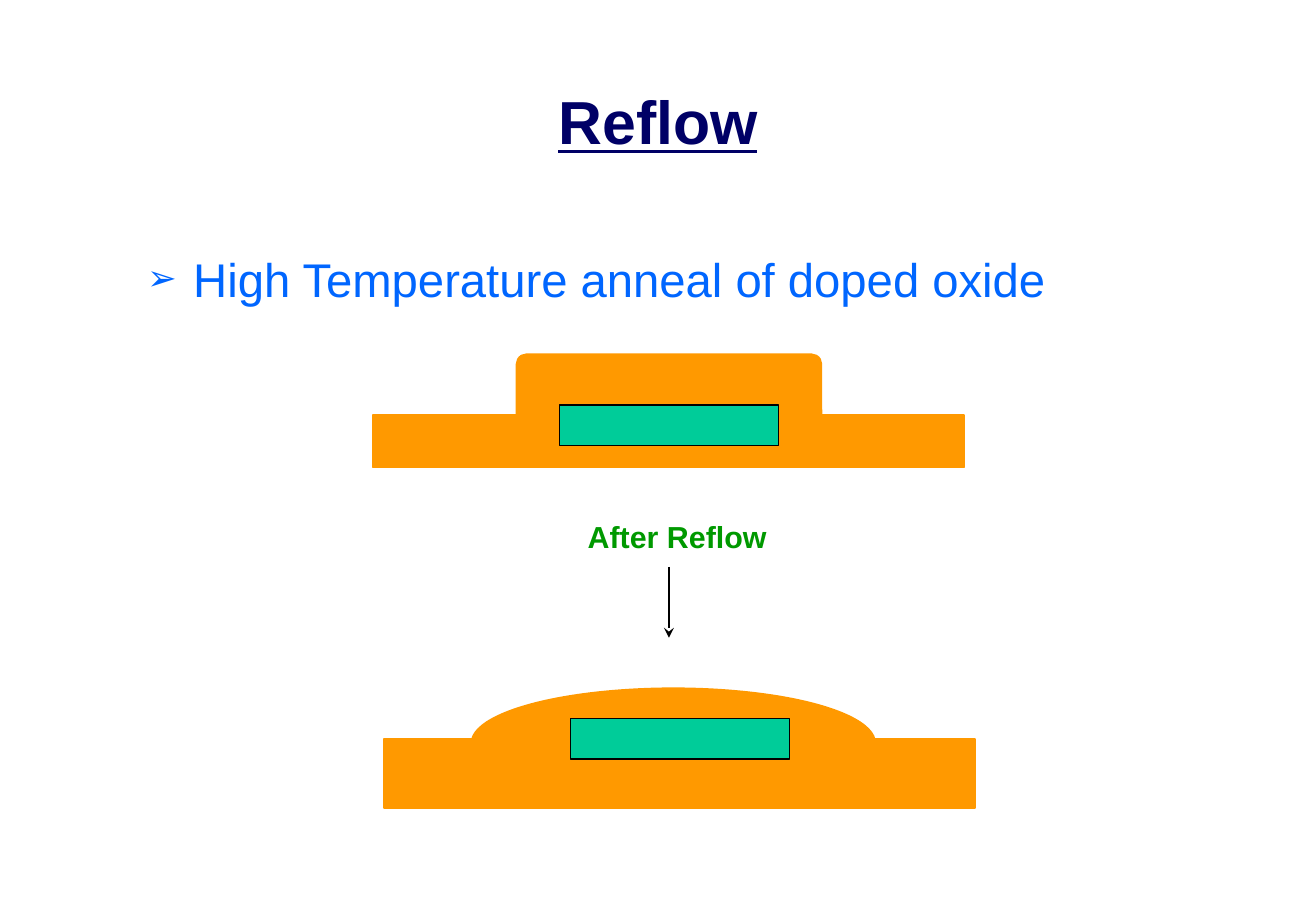
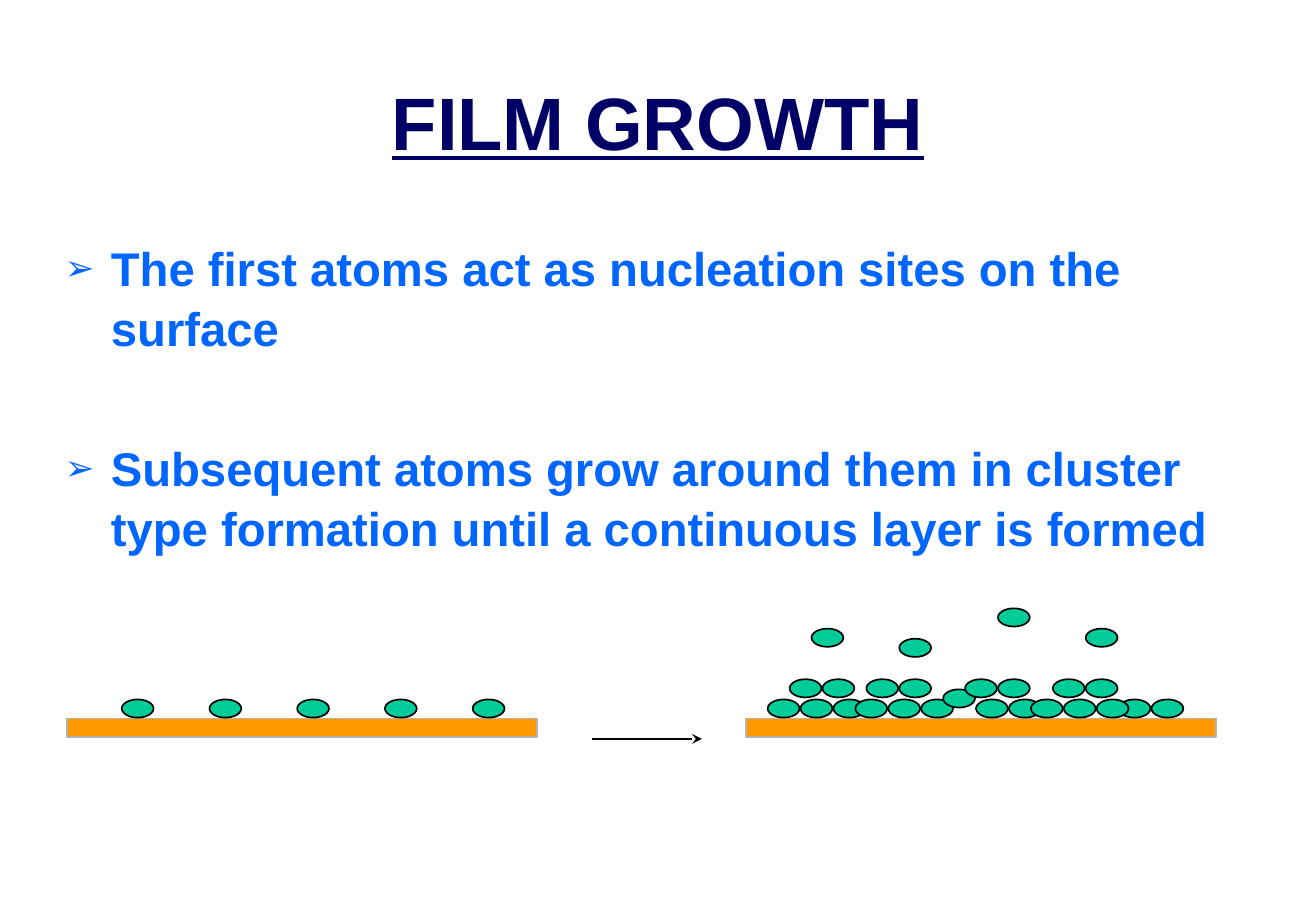
import pptx
import pptx.dml.color
import pptx.enum.shapes
import pptx.enum.text
import pptx.oxml
import pptx.oxml.ns
import pptx.util

COLOURS = {
    "title": "000066", "body": "0066FF", "label": "009900", "oxide": "FF9900",
    "metal": "00CC99", "edge": "B2B2B2", "black": "000000",
}
RGB = {name: pptx.dml.color.RGBColor.from_string(code) for name, code in COLOURS.items()}
SHAPES = pptx.enum.shapes.MSO_SHAPE
ALIGN = pptx.enum.text.PP_ALIGN
NO_AUTOFIT = pptx.enum.text.MSO_AUTO_SIZE.NONE

deck = pptx.Presentation()
deck.slide_width = pptx.util.Inches(10.83)
deck.slide_height = pptx.util.Inches(7.5)
COLUMN = deck.slide_width / 120
ROW = deck.slide_height / 90


def grid(left, top, width, height):
    return [int(left * COLUMN), int(top * ROW), int(width * COLUMN), int(height * ROW)]


def draw(slide, kind, area, fill, line, weight=1):
    shape = slide.shapes.add_shape(kind, *grid(*area))
    shape.shadow.inherit = False
    shape.fill.solid()
    shape.fill.fore_color.rgb = RGB[fill]
    shape.line.color.rgb = RGB[line]
    shape.line.width = pptx.util.Pt(weight)
    return shape


layout = deck.slide_layouts[1]
title_area = dict(zip(("left", "top", "width", "height"), grid(5, 4.4, 110, 15)))
for side, length in title_area.items():
    setattr(layout.placeholders[0], side, length)

PAGES = [
    {
        "title": "Reflow", "title_size": 36, "bold": False, "area": (12.3, 23.8, 94, 54),
        "points": ["High Temperature anneal of doped oxide"],
        "arrow": (61, 56, 61, 63),
    },
    {
        "title": "FILM GROWTH", "title_size": 44, "bold": True, "area": (4.8, 22.8, 110.7, 54),
        "points": [
            "The first atoms act as nucleation sites on the surface",
            "Subsequent atoms grow around them in cluster type formation until a continuous layer is formed",
        ],
        "arrow": (54, 73, 64, 73),
    },
]
BULLET = (
    f'<a:buClr {pptx.oxml.ns.nsdecls("a")}><a:srgbClr val="{COLOURS["body"]}"/></a:buClr>',
    f'<a:buSzPct {pptx.oxml.ns.nsdecls("a")} val="75000"/>',
    f'<a:buChar {pptx.oxml.ns.nsdecls("a")} char="➢"/>',
)
INDENT = str(pptx.util.Inches(0.38))

for page in PAGES:
    slide = deck.slides.add_slide(layout)
    heading, body = slide.placeholders
    heading.text_frame.auto_size = body.text_frame.auto_size = NO_AUTOFIT
    heading.text_frame.text = page["title"]
    heading.text_frame.paragraphs[0].alignment = ALIGN.CENTER
    title_format = {
        "name": "Arial", "size": pptx.util.Pt(page["title_size"]), "bold": True, "underline": True,
    }
    title_font = heading.text_frame.paragraphs[0].runs[0].font
    for key, value in title_format.items():
        setattr(title_font, key, value)
    title_font.color.rgb = RGB["title"]

    body.left, body.top, body.width, body.height = grid(*page["area"])
    body.text_frame.text = "\n".join(page["points"])
    body_format = {"name": "Arial", "size": pptx.util.Pt(28), "bold": page["bold"]}
    for number, point in enumerate(body.text_frame.paragraphs):
        properties = point._p.get_or_add_pPr()
        properties.set("marL", INDENT)
        properties.set("indent", "-" + INDENT)
        for element in BULLET:
            properties.append(pptx.oxml.parse_xml(element))
        point.line_spacing = 1.05
        point.space_before = pptx.util.Pt(48 if number else 0)
        point_font = point.runs[0].font
        for key, value in body_format.items():
            setattr(point_font, key, value)
        point_font.color.rgb = RGB["body"]

    start_x, start_y, end_x, end_y = page["arrow"]
    arrow = slide.shapes.add_connector(
        pptx.enum.shapes.MSO_CONNECTOR.STRAIGHT,
        *grid(start_x, start_y, end_x, end_y),
    )
    arrow.line.color.rgb = RGB["black"]
    arrow.line.width = pptx.util.Pt(1)
    arrow.line._get_or_add_ln().append(
        pptx.oxml.parse_xml(f'<a:tailEnd {pptx.oxml.ns.nsdecls("a")} type="stealth"/>'))
    arrow._element.spPr.append(
        pptx.oxml.parse_xml(f'<a:effectLst {pptx.oxml.ns.nsdecls("a")}/>'))

reflow, growth = deck.slides

step = draw(reflow, SHAPES.ROUNDED_RECTANGLE, (47.1, 35, 27.8, 7.8), "oxide", "oxide")
step.adjustments[0] = 0.125
OXIDE = [
    (SHAPES.RECTANGLE, (34, 41, 53.9, 5.2)),
    (SHAPES.RECTANGLE, (50.1, 40.1, 21.8, 5.9)),
    (SHAPES.OVAL, (43, 68, 36.8, 10.8)),
    (SHAPES.RECTANGLE, (35, 73, 53.9, 6.8)),
]
for kind, area in OXIDE:
    draw(reflow, kind, area, "oxide", "oxide")
for left, top in ((51, 40), (52, 71)):
    draw(reflow, SHAPES.RECTANGLE, (left, top, 20, 4), "metal", "black", 0.75)

label = reflow.shapes.add_textbox(*grid(52.5, 50.6, 18.5, 4.8)).text_frame
label.word_wrap = False
label.text = "After Reflow"
label_font = label.paragraphs[0].runs[0].font
label_format = {"name": "Arial", "size": pptx.util.Pt(18), "bold": True}
for key, value in label_format.items():
    setattr(label_font, key, value)
label_font.color.rgb = RGB["label"]

SITES = [(column, 0) for column in range(3, 36, 8)]
CLUSTER = [
    (5, 2), (2, 2), (0, 0), (6, 0), (9, 2), (12, 2), (14, 0), (8, 0), (16, 1),
    (21, 2), (18, 2), (22, 0), (32, 0), (29, 2), (26, 2), (30, 0), (24, 0),
    (4, 7), (12, 6), (21, 9), (29, 7),
]
for left, atoms in ((6.1, SITES), (68, SITES + CLUSTER)):
    draw(growth, SHAPES.RECTANGLE, (left, 71, 42.9, 1.8), "oxide", "edge")
    for column, level in atoms:
        draw(growth, SHAPES.OVAL, (left + 2 + column, 69.1 - level, 2.9, 1.8), "metal", "black")

deck.save("out.pptx")
